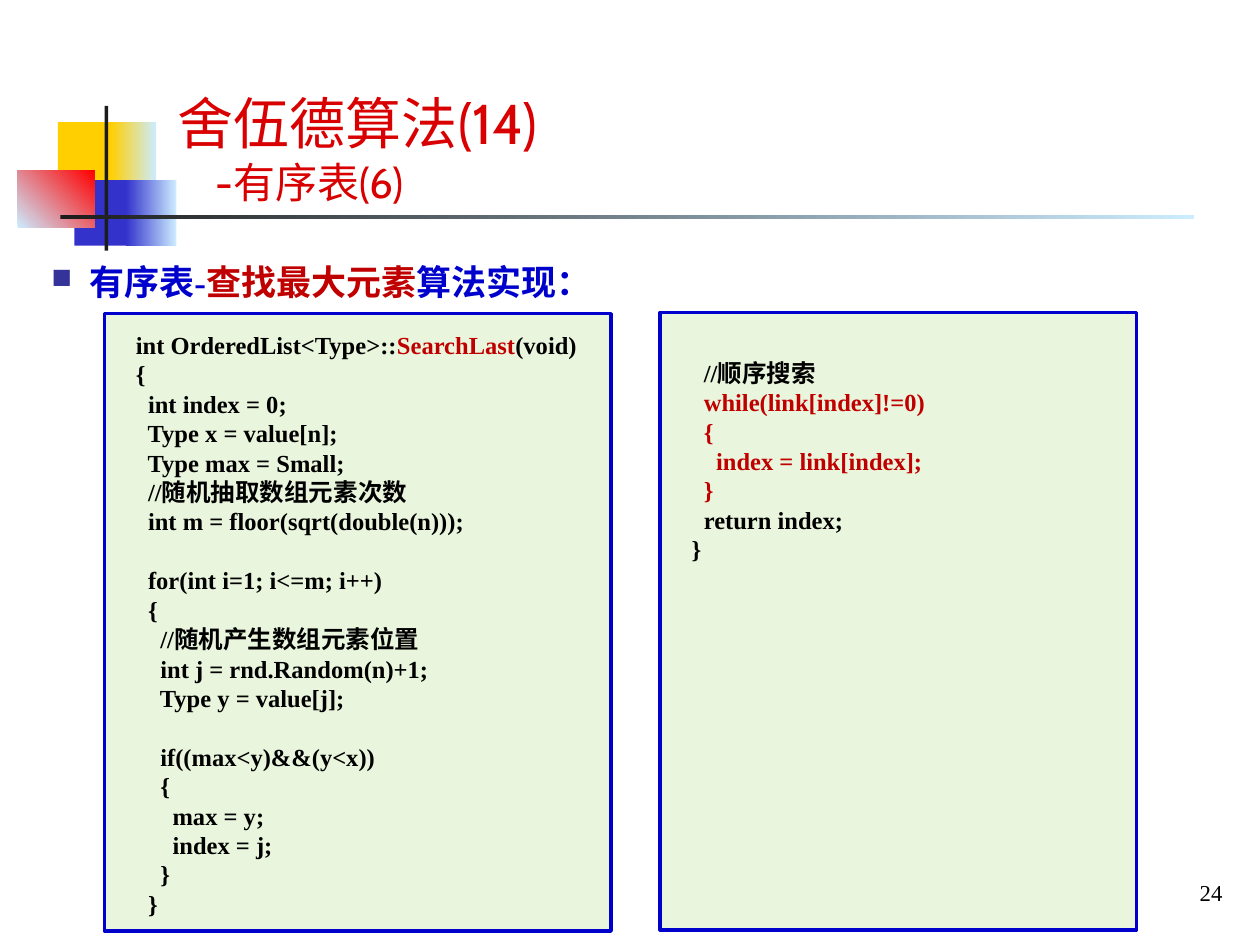
from typing import NamedTuple

from lxml import etree
from pptx import Presentation
from pptx.dml.color import RGBColor
from pptx.enum import lang, shapes, text
from pptx.oxml import ns
from pptx.util import Inches, Pt

BLACK, BLUE, RED = "000000", "0000CC", "C00000"
SERIF = "Times New Roman"


class Box(NamedTuple):
    left: float
    top: float
    width: float
    height: float


class Block(NamedTuple):
    box: Box
    start: str
    end: str = ""      # second gradient colour, if any
    angle: int = 0


class Panel(NamedTuple):
    frame: Box
    code: Box
    lines: list


def hue(code: str) -> RGBColor:
    return RGBColor.from_string(code)


def inches(box: Box) -> list:
    return [Inches(n) for n in box]


def draw_rect(slide, box: Box):
    rect = slide.shapes.add_shape(shapes.MSO_SHAPE.RECTANGLE, *inches(box))
    rect.shadow.inherit = False
    rect.line.fill.background()
    return rect


def draw_block(slide, block: Block) -> None:
    fill = draw_rect(slide, block.box).fill
    if not block.end:
        fill.solid()
        fill.fore_color.rgb = hue(block.start)
        return
    fill.gradient()
    fill.gradient_angle = block.angle
    for stop, tint in zip(fill.gradient_stops, (block.start, block.end)):
        stop.color.rgb = hue(tint)


def write(frame, lines: list, size=14, font=SERIF, color=BLACK, bold=False,
          align=text.PP_ALIGN.LEFT, anchor=text.MSO_ANCHOR.TOP) -> None:
    """Fill a frame; a line is a string or a list of (words, colour) pairs."""
    frame.word_wrap = True
    frame.auto_size = text.MSO_AUTO_SIZE.NONE
    frame.vertical_anchor = anchor
    for i, line in enumerate(lines):
        para = frame.paragraphs[0] if i == 0 else frame.add_paragraph()
        para.alignment = align
        if not line:
            para.font.size = Pt(size)
            para.font.name = font
            continue
        for words, tint in [(line, color)] if isinstance(line, str) else line:
            run = para.add_run()
            run.text = words
            run.font.size, run.font.name, run.font.bold = Pt(size), font, bold
            run.font.color.rgb = hue(tint)
            run.font.language_id = lang.MSO_LANGUAGE_ID.SIMPLIFIED_CHINESE


def add_text(slide, box: Box, lines: list, **style):
    frame = slide.shapes.add_textbox(*inches(box)).text_frame
    write(frame, lines, **style)
    return frame


def hang(para, gap: float):
    """Start every line after the first (or after a bullet) at the gap."""
    props = para._p.get_or_add_pPr()
    props.set("marL", str(Inches(gap)))
    props.set("indent", str(-Inches(gap)))
    return props


def add_bullet(para, gap: float) -> None:
    props = hang(para, gap)
    tint = etree.SubElement(props, ns.qn("a:buClr"))
    etree.SubElement(tint, ns.qn("a:srgbClr"), val="333399")
    etree.SubElement(props, ns.qn("a:buSzPct"), val="80000")
    etree.SubElement(props, ns.qn("a:buChar"), char="■")


def draw_panel(slide, panel: Panel) -> None:
    rect = draw_rect(slide, panel.frame)
    rect.fill.solid()
    rect.fill.fore_color.rgb = hue("92D050")
    tint = rect.fill._xPr.find(".//" + ns.qn("a:srgbClr"))
    etree.SubElement(tint, ns.qn("a:alpha"), val="20000")
    rect.line.color.rgb = hue(BLUE)
    rect.line.width = Pt(2)
    add_text(slide, panel.code, panel.lines, bold=True)


BLOCKS = [
    Block(Box(0.46, 0.97, 0.48, 0.52), "FFCF01"),
    Block(Box(0.88, 0.97, 0.36, 0.52), "FFCF01", "CCECFF"),
    Block(Box(0.59, 1.43, 0.46, 0.52), "3333CC"),
    Block(Box(1, 1.43, 0.4, 0.52), "3333CC", "CCECFF"),
    Block(Box(0.14, 1.35, 0.61, 0.46), "CCECFF", "FF0000", 45),
    Block(Box(0.83, 0.84, 0.03, 1.15), "1C1C1C"),
    Block(Box(0.48, 1.71, 9, 0.03), "1C1C1C", "CCECFF"),
]

SAMPLE = [
    [("int OrderedList<Type>::", BLACK), ("SearchLast", RED),
     ("(void)", BLACK)],
    "{",
    "  int index = 0;",
    "  Type x = value[n];",
    "  Type max = Small;",
    "  //随机抽取数组元素次数",
    "  int m = floor(sqrt(double(n)));",
    "",
    "  for(int i=1; i<=m; i++)",
    "  {",
    "    //随机产生数组元素位置",
    "    int j = rnd.Random(n)+1;",
    "    Type y = value[j];",
    "",
    "    if((max<y)&&(y<x))",
    "    {",
    "      max = y;",
    "      index = j;",
    "    }",
    "  }",
]

SCAN = [
    "  //顺序搜索",
    [("  while(link[index]!=0)", RED)],
    [("  {", RED)],
    [("    index = link[index];", RED)],
    [("  }", RED)],
    "  return index;",
    "}",
]

PANELS = [
    Panel(Box(0.83, 2.49, 4.02, 4.9), Box(0.98, 2.57, 3.83, 4.77), SAMPLE),
    Panel(Box(5.24, 2.48, 3.78, 4.9), Box(5.39, 2.79, 3.61, 1.74), SCAN),
]


def main() -> None:
    deck = Presentation()
    deck.slide_width, deck.slide_height = Inches(10), Inches(7.5)
    slide = deck.slides.add_slide(deck.slide_layouts[5])

    # Corner ornament
    for block in BLOCKS:
        draw_block(slide, block)

    # Title, with a smaller indented second line
    title = slide.shapes.title
    title.left, title.top, title.width, title.height = inches(
        Box(1.31, 0.6, 8.42, 1.09))
    write(title.text_frame, ["舍伍德算法(14)"], size=32, font="Cabin",
          color="D80000", anchor=text.MSO_ANCHOR.BOTTOM)
    head = title.text_frame.paragraphs[0]
    hang(head, 0.3)
    head.add_line_break()
    part = head.add_run()
    part.text = "-有序表(6)"
    part.font.size, part.font.name = Pt(24), "Cabin"
    part.font.color.rgb = hue("D80000")
    part.font.language_id = lang.MSO_LANGUAGE_ID.SIMPLIFIED_CHINESE

    # Topic line
    topic = add_text(
        slide, Box(0.31, 2.02, 9.1, 0.43),
        [[("有序表-", BLUE), ("查找最大元素", RED), ("算法实现：", BLUE)]],
        size=20, bold=True)
    add_bullet(topic.paragraphs[0], 0.3)

    # Code panels
    for panel in PANELS:
        draw_panel(slide, panel)

    # Page number
    add_text(slide, Box(7.89, 6.9, 1.91, 0.37), ["24"], size=13,
             align=text.PP_ALIGN.RIGHT, anchor=text.MSO_ANCHOR.MIDDLE)

    deck.save("out.pptx")


if __name__ == "__main__":
    main()
